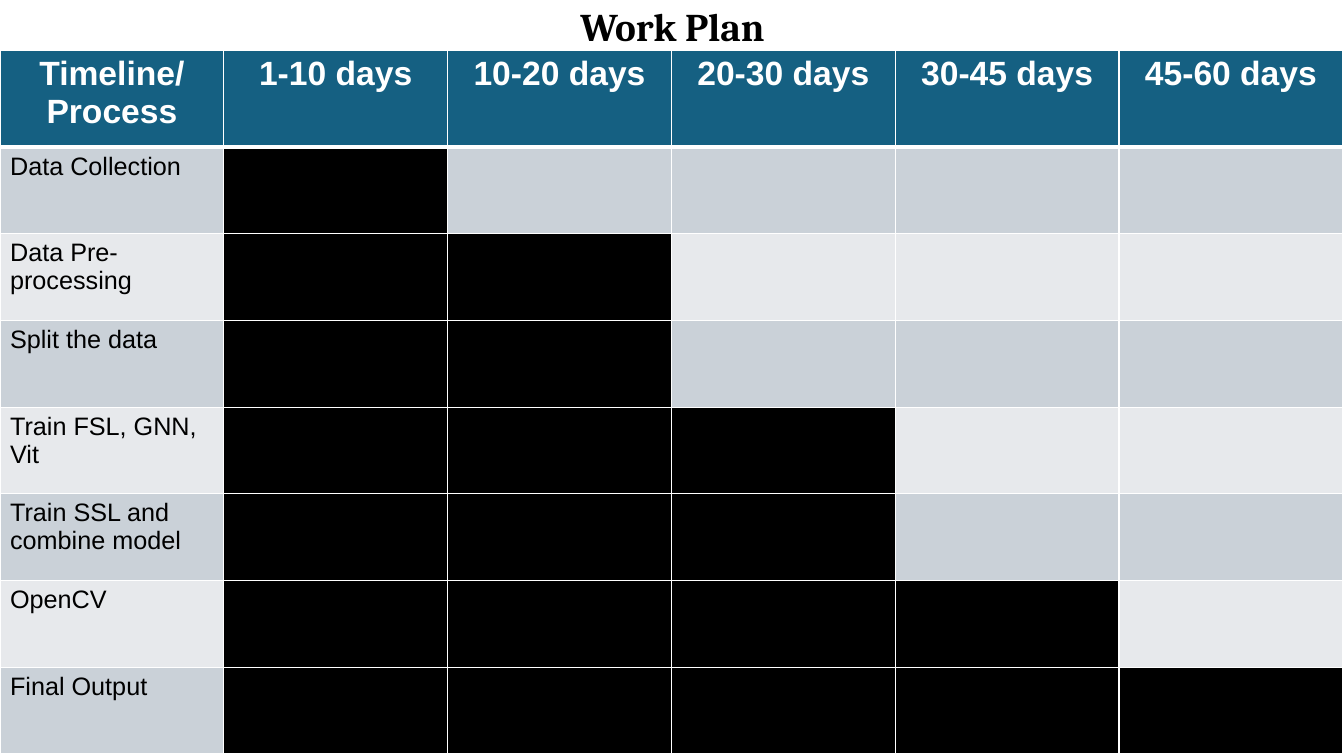
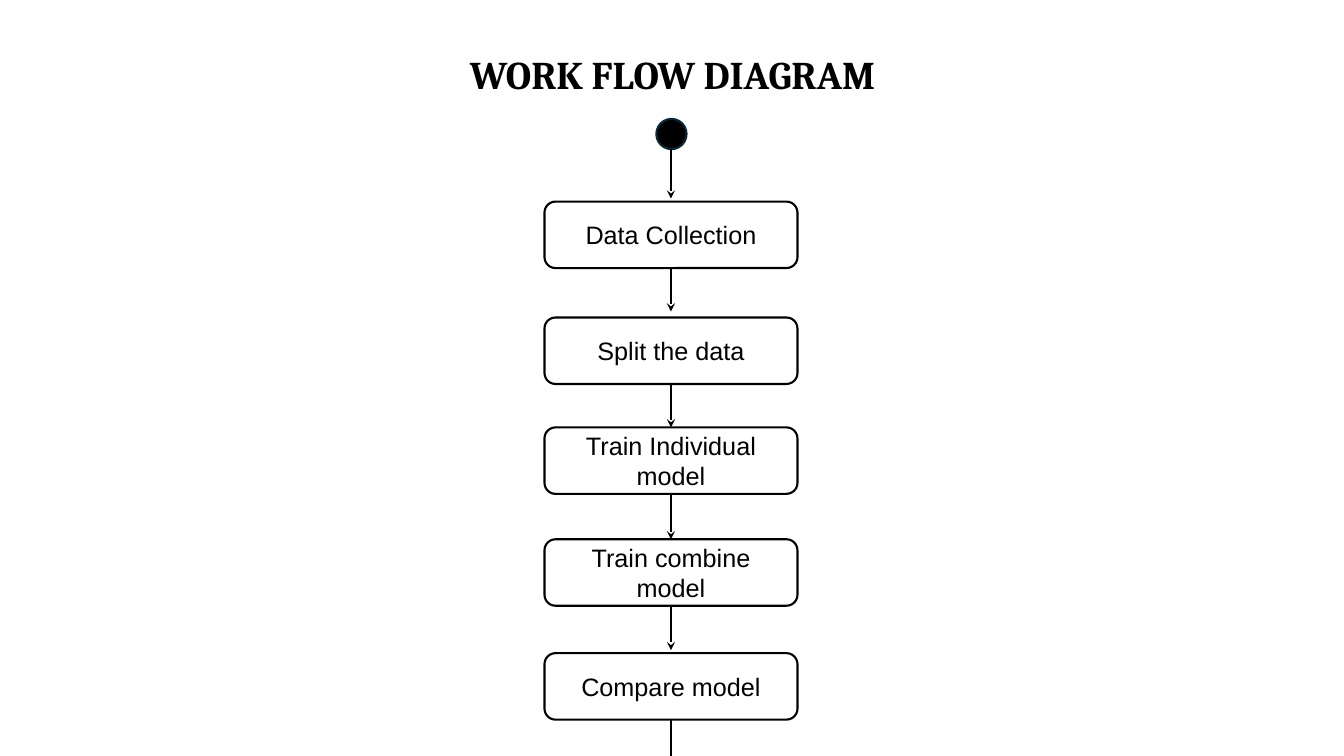
import pptx
import pptx.util
import pptx.dml.color
import pptx.enum.text
import pptx.enum.shapes
import pptx.oxml
import pptx.oxml.ns

Inches = pptx.util.Inches
Pt = pptx.util.Pt
RGB = pptx.dml.color.RGBColor.from_string
ALIGN = pptx.enum.text.PP_ALIGN
ANCHOR = pptx.enum.text.MSO_ANCHOR
SHAPE = pptx.enum.shapes.MSO_SHAPE
NS = pptx.oxml.ns.nsdecls("a")

HUES = {"ink": "000000", "paper": "FFFFFF", "head": "156082",
        "odd": "CAD1D8", "even": "E7E9EC", "rim": "082836"}
TITLE = {"name": "Cambria", "size": Pt(28), "bold": True}
HEAD = {"name": "Arial", "size": Pt(24), "bold": True}
BODY = {"name": "Arial", "size": Pt(18), "bold": False}


def style(frame, look, hue, align):
    for para in frame.paragraphs:
        para.alignment = align
        for key, val in look.items():
            setattr(para.font, key, val)
        para.font.color.rgb = RGB(HUES[hue])


def paint(shape, fill, line):
    shape.shadow.inherit = False
    shape.fill.solid()
    shape.fill.fore_color.rgb = RGB(HUES[fill])
    shape.line.color.rgb = RGB(HUES[line])
    shape.line.width = Pt(1.5)


deck = pptx.Presentation()
deck.slide_width = Inches(13.33)
deck.slide_height = Inches(7.5)

pages = []
for text, top, anchor, inset in [("Work Plan", -0.44, ANCHOR.MIDDLE, 0.05),
                                 ("WORK FLOW DIAGRAM", 0.4, ANCHOR.TOP, 0.15)]:
    page = deck.slides.add_slide(deck.slide_layouts[5])
    title = page.shapes.title
    place = {"left": 0.92, "top": top, "width": 11.5, "height": 1.45}
    for key, val in place.items():
        setattr(title, key, Inches(val))
    frame = title.text_frame
    frame.text = text
    frame.auto_size = pptx.enum.text.MSO_AUTO_SIZE.NONE
    frame.vertical_anchor = anchor
    frame.margin_top = Inches(inset)
    frame.paragraphs[0].line_spacing = 0.9
    style(frame, TITLE, "ink", ALIGN.CENTER)
    pages.append(page)
plan, flow = pages

heads = ["Timeline/\nProcess", "1-10 days", "10-20 days",
         "20-30 days", "30-45 days", "45-60 days"]
tasks = [("Data Collection", 1), ("Data Pre-processing", 2),
         ("Split the data", 2), ("Train FSL, GNN, Vit", 3),
         ("Train SSL and combine model", 3), ("OpenCV", 4),
         ("Final Output", 5)]
grid = plan.shapes.add_table(len(tasks) + 1, len(heads), Inches(0), Inches(0.5),
                             Inches(13.32), Inches(6.98)).table
for col in grid.columns:
    col.width = Inches(2.22)
for num, row in enumerate(grid.rows):
    row.height = Inches(0.86 if num else 0.96)
    for pos, cell in enumerate(row.cells):
        props = cell._tc.get_or_add_tcPr()
        for side in "LRTB":
            thick = (num == 0 and side == "B") or (num == 1 and side == "T")
            props.append(pptx.oxml.parse_xml(
                f'<a:ln{side} {NS} w="{Pt(3 if thick else 1)}"><a:solidFill>'
                f'<a:srgbClr val="{HUES["paper"]}"/></a:solidFill></a:ln{side}>'))
        if num == 0:
            fill = "head"
            cell.text = heads[pos]
            style(cell.text_frame, HEAD, "paper", ALIGN.CENTER)
        else:
            task, span = tasks[num - 1]
            fill = "ink" if 1 <= pos <= span else ("odd" if num % 2 else "even")
            if pos == 0:
                cell.text = task
                style(cell.text_frame, BODY, "ink", ALIGN.LEFT)
        cell.fill.solid()
        cell.fill.fore_color.rgb = RGB(HUES[fill])

start = flow.shapes.add_shape(SHAPE.OVAL, Inches(6.51), Inches(1.18),
                              Inches(0.3), Inches(0.3))
paint(start, "ink", "rim")

steps = [("Data Collection", 2, 0.03), ("Split the data", 3.15, 0.06),
         ("Train Individual model", 4.24, 0), ("Train combine model", 5.35, 0),
         ("Compare model", 6.48, 0.03)]
boxes = []
for text, top, gap in steps:
    box = flow.shapes.add_shape(SHAPE.ROUNDED_RECTANGLE, Inches(5.4), Inches(top),
                                Inches(2.51), Inches(0.66))
    paint(box, "paper", "ink")
    box.text_frame.text = text
    box.text_frame.word_wrap = True
    box.text_frame.vertical_anchor = ANCHOR.MIDDLE
    style(box.text_frame, BODY, "ink", ALIGN.CENTER)
    boxes.append(box)

mid = boxes[0].left + boxes[0].width // 2
tips = [Inches(top - gap) for text, top, gap in steps] + [deck.slide_height]
for num, tip in enumerate(tips):
    prev = boxes[num - 1] if num else start
    link = flow.shapes.add_connector(pptx.enum.shapes.MSO_CONNECTOR.STRAIGHT,
                                     mid, prev.top + prev.height, mid, tip)
    if num:
        link.begin_connect(prev, 2)
    if num < len(boxes) and steps[num][2] == 0:
        link.end_connect(boxes[num], 0)
    link.line.color.rgb = RGB(HUES["ink"])
    link.line.width = Pt(1.5)
    if num < len(boxes):
        link.line._get_or_add_ln().append(
            pptx.oxml.parse_xml(f'<a:tailEnd {NS} type="stealth"/>'))
    link._element.spPr.append(pptx.oxml.parse_xml(f"<a:effectLst {NS}/>"))

deck.save("out.pptx")
